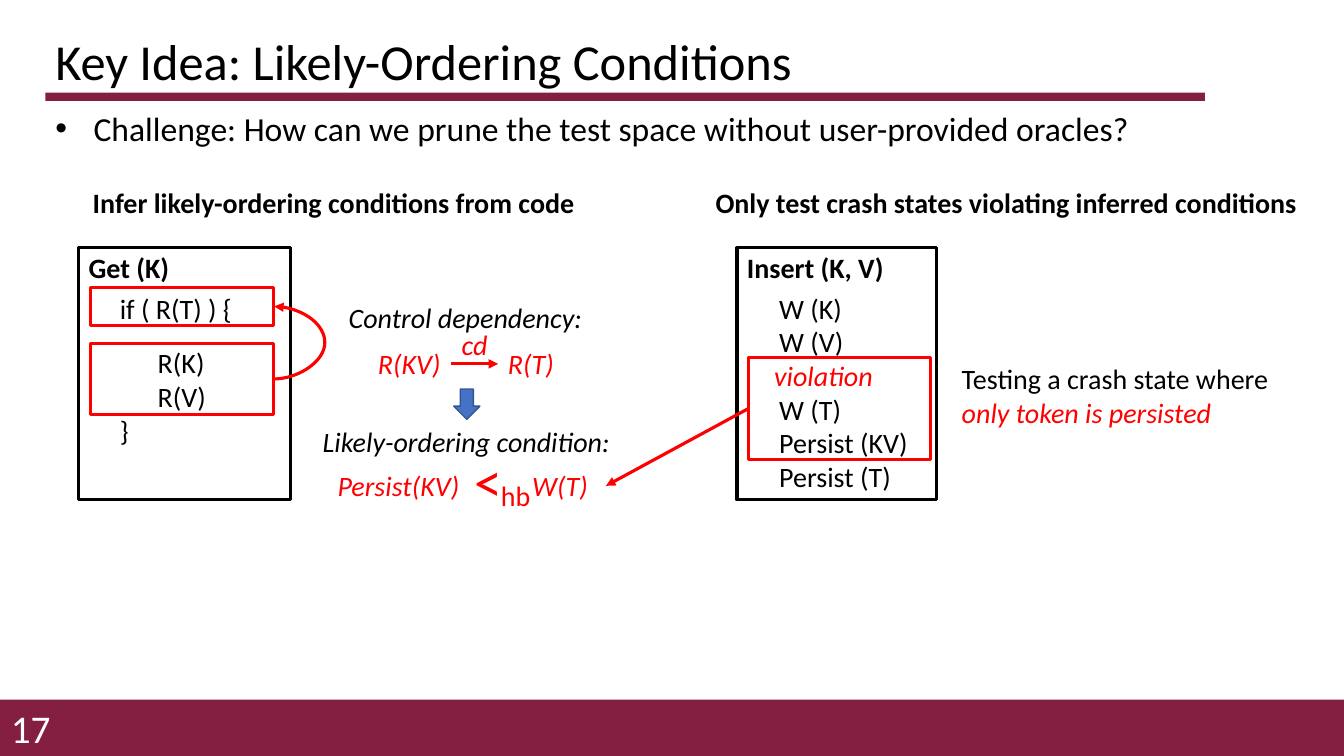
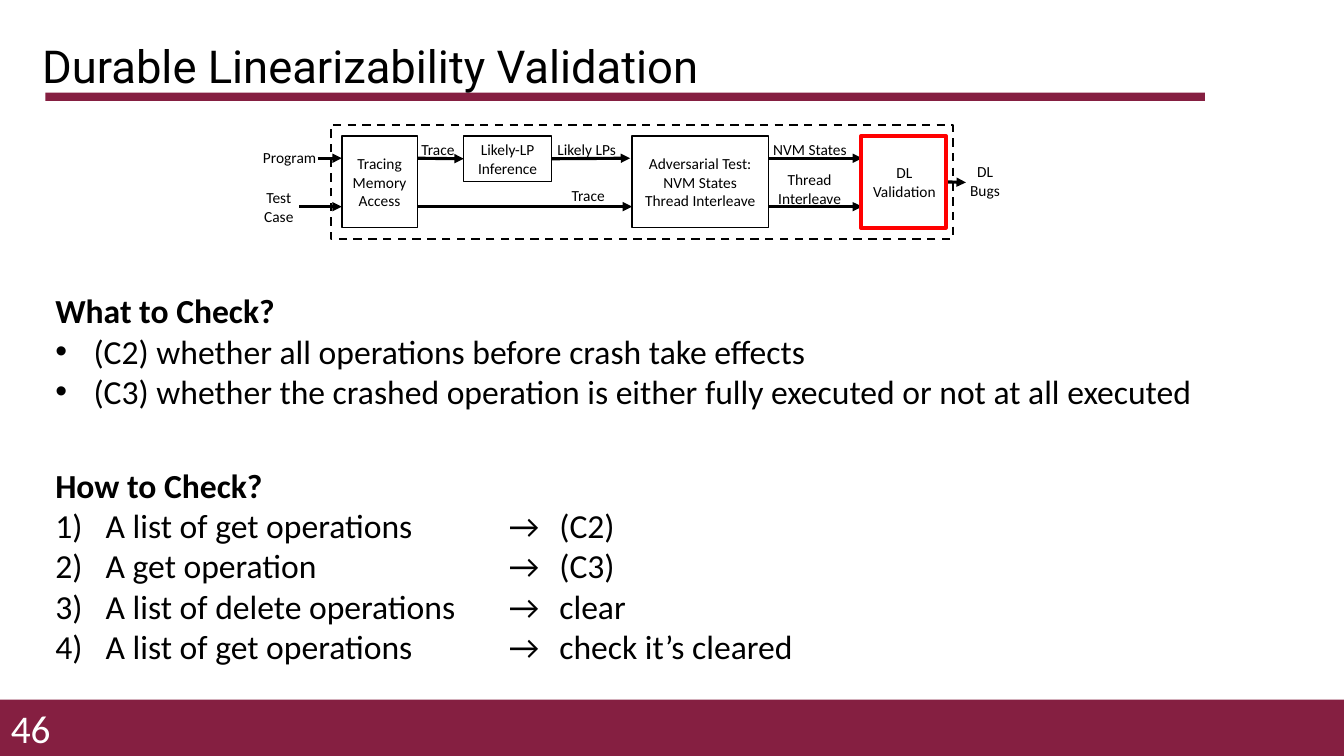
from dataclasses import dataclass
from typing import NamedTuple, Optional, Sequence, Union

from lxml import etree
from pptx import Presentation
from pptx import util as u
from pptx.dml.color import RGBColor
from pptx.enum import dml, shapes, text
from pptx.oxml import ns

PX = 9144  # EMU per px, 100 px to the inch
BLACK, WHITE, RED = "000000", "FFFFFF", "FF0000"
MAROON, BLUE, NAVY = "851F41", "4472C4", "325491"
BODY_FONT, TITLE_FONT = "Calibri", "Roboto"
LEFT, CENTER, RIGHT = text.PP_ALIGN.LEFT, text.PP_ALIGN.CENTER, text.PP_ALIGN.RIGHT
TOP, MIDDLE, BOTTOM = text.MSO_ANCHOR.TOP, text.MSO_ANCHOR.MIDDLE, text.MSO_ANCHOR.BOTTOM
RECT = shapes.MSO_SHAPE.RECTANGLE
LEFT_SIDE, RIGHT_SIDE = 1, 3


class Box(NamedTuple):
    left: int
    top: int
    width: int
    height: int


class Point(NamedTuple):
    x: int
    y: int


@dataclass(frozen=True)
class Para:
    text: str
    color: Optional[str] = None
    bold: Optional[bool] = None
    italic: Optional[bool] = None
    before: int = 0
    bullet: str = ""
    indent: int = 0


@dataclass(frozen=True)
class Label:
    box: Box
    lines: Sequence[Union[str, Para]]
    color: str = BLACK
    bold: bool = False
    italic: bool = False
    align: text.PP_ALIGN = LEFT
    wrap: bool = False


@dataclass(frozen=True)
class Arrow:
    start: Point
    end: Point


def emu(values: Sequence[int]) -> list:
    return [u.Emu(value * PX) for value in values]


def rgb(color: str) -> RGBColor:
    return RGBColor.from_string(color)


def add_bullet(paragraph, kind: str, indent: int) -> None:
    """Hang the paragraph from a character, or from a number if kind is '1)'."""
    props = paragraph._p.get_or_add_pPr()
    props.set("marL", str(indent * PX))
    props.set("indent", str(-indent * PX))
    props.set("defTabSz", str(50 * PX))
    if kind == "1)":
        etree.SubElement(props, ns.qn("a:buAutoNum"), type="arabicParenR")
    else:
        etree.SubElement(props, ns.qn("a:buFont"), typeface="Arial")
        etree.SubElement(props, ns.qn("a:buChar"), char=kind)


def write(frame, lines: Sequence[Union[str, Para]], *, size: float = 20, color: str = BLACK,
          bold: bool = False, italic: bool = False, font: str = BODY_FONT,
          align: text.PP_ALIGN = LEFT, anchor: text.MSO_ANCHOR = TOP,
          wrap: bool = True, spacing: Optional[float] = None) -> None:
    frame.word_wrap = wrap
    frame.vertical_anchor = anchor
    for index, line in enumerate(lines):
        para = Para(line) if isinstance(line, str) else line
        paragraph = frame.add_paragraph() if index else frame.paragraphs[0]
        if para.bullet:
            add_bullet(paragraph, para.bullet, para.indent)
        paragraph.alignment = align
        if spacing:
            paragraph.line_spacing = spacing
        if para.before:
            paragraph.space_before = u.Pt(para.before)
        run = paragraph.add_run()
        run.text = para.text
        run.font.name, run.font.size = font, u.Pt(size)
        run.font.bold = bold if para.bold is None else para.bold
        run.font.italic = italic if para.italic is None else para.italic
        run.font.color.rgb = rgb(para.color or color)


def add_text(slide, box: Box, lines: Sequence[Union[str, Para]], grow: bool = True, **look) -> None:
    frame = slide.shapes.add_textbox(*emu(box)).text_frame
    write(frame, lines, **look)
    if grow:
        frame.auto_size = text.MSO_AUTO_SIZE.SHAPE_TO_FIT_TEXT


def add_labels(slide, labels: Sequence[Label], size: float) -> None:
    for label in labels:
        add_text(slide, label.box, label.lines, size=size, color=label.color, bold=label.bold,
                 italic=label.italic, align=label.align, wrap=label.wrap)


def add_block(slide, box: Box, fill: Optional[str] = None, line: Optional[str] = None,
              weight: float = 2.25, preset=RECT, dashed: bool = False):
    block = slide.shapes.add_shape(preset, *emu(box))
    block.shadow.inherit = False
    if fill:
        block.fill.solid()
        block.fill.fore_color.rgb = rgb(fill)
    else:
        block.fill.background()
    if line:
        block.line.color.rgb = rgb(line)
        block.line.width = u.Pt(weight)
        if dashed:
            block.line.dash_style = dml.MSO_LINE.DASH
    else:
        block.line.fill.background()
    return block


def add_arrow(slide, arrow: Arrow, color: str, source=None, target=None,
              kind=shapes.MSO_CONNECTOR.STRAIGHT):
    """Draw an arrow, joined to the right or left side of the blocks given."""
    connector = slide.shapes.add_connector(kind, *emu((*arrow.start, *arrow.end)))
    connector.line.color.rgb = rgb(color)
    connector.line.width = u.Pt(2.25)
    etree.SubElement(connector.line._get_or_add_ln(), ns.qn("a:tailEnd"), type="triangle")
    etree.SubElement(connector._element.spPr, ns.qn("a:effectLst"))
    if source is not None:
        source_block, side = source
        connector.begin_connect(source_block, side)
    if target is not None:
        target_block, side = target
        connector.end_connect(target_block, side)
    return connector


def add_loop(slide, arrow: Arrow, bulge: int, color: str) -> None:
    """Draw a curved arrow that swings out to the right by bulge px."""
    loop = add_arrow(slide, arrow, color, kind=shapes.MSO_CONNECTOR.CURVE)
    geometry = loop._element.spPr.find(ns.qn("a:prstGeom"))
    adjustments = geometry.find(ns.qn("a:avLst"))
    if adjustments is None:
        adjustments = etree.SubElement(geometry, ns.qn("a:avLst"))
    ratio = bulge * 100000 // (arrow.end.x - arrow.start.x)
    etree.SubElement(adjustments, ns.qn("a:gd"), name="adj1", fmla=f"val {ratio}")


def start_slide(deck, title: str, number: str, box: Box, **title_look):
    slide = deck.slides.add_slide(deck.slide_layouts[6])
    add_block(slide, Box(0, 694, 1333, 56), fill=MAROON)
    add_block(slide, Box(45, 92, 1150, 8), fill=MAROON)
    add_text(slide, box, [title], grow=False, spacing=0.9, **title_look)
    add_text(slide, Box(-11, 702, 71, 40), [number], grow=False, size=28, color=WHITE,
             align=RIGHT, anchor=MIDDLE)
    return slide


def build_key_idea(deck) -> None:
    slide = start_slide(deck, "Key Idea: Likely-Ordering Conditions", "17",
                        Box(45, 40, 1209, 56), size=36, anchor=BOTTOM)
    challenge = "Challenge: How can we prune the test space without user-provided oracles?"
    add_text(slide, Box(45, 102, 1260, 50), [Para(challenge, bullet="•", indent=38)], size=24)

    for function_box in (Box(78, 246, 210, 250), Box(731, 246, 198, 250)):
        add_block(slide, function_box, line=BLACK)
    for access_box in (Box(90, 285, 181, 38), Box(90, 341, 181, 70)):
        add_block(slide, access_box, line=RED)
    violation = add_block(slide, Box(742, 355, 181, 101), line=RED)
    add_block(slide, Box(450, 386, 26, 30), BLUE, NAVY, 1, shapes.MSO_SHAPE.DOWN_ARROW)

    add_loop(slide, Arrow(Point(271, 376), Point(272, 304)), 52, RED)
    add_arrow(slide, Arrow(Point(742, 405), Point(601, 482)), RED, source=(violation, LEFT_SIDE))
    add_arrow(slide, Arrow(Point(447, 361), Point(494, 361)), RED)

    add_labels(slide, [
        Label(Box(58, 179, 546, 44), ["Infer likely-ordering conditions from code"],
              bold=True, align=CENTER, wrap=True),
        Label(Box(691, 179, 614, 44), ["Only test crash states violating inferred conditions"],
              bold=True, align=CENTER, wrap=True),
        Label(Box(78, 244, 101, 44), ["Get (K)"], bold=True),
        Label(Box(109, 284, 133, 166),
              ["if ( R(T) ) {", Para("      R(K)", before=15), "      R(V)", "}"]),
        Label(Box(731, 244, 157, 44), ["Insert (K, V)"], bold=True),
        Label(Box(763, 284, 156, 212),
              ["W (K)", "W (V)", Para("W (T)", before=24), "Persist (KV)", "Persist (T)"]),
        Label(Box(758, 351, 119, 44), ["violation"], RED, italic=True),
        Label(Box(336, 293, 253, 44), ["Control dependency:"], italic=True),
        Label(Box(365, 339, 83, 44), ["R(KV)"], RED, italic=True),
        Label(Box(448, 320, 46, 44), ["cd"], RED, italic=True),
        Label(Box(494, 339, 66, 44), ["R(T)"], RED, italic=True),
        Label(Box(293, 416, 339, 44), ["Likely-ordering condition:"],
              italic=True, align=CENTER, wrap=True),
        Label(Box(325, 460, 147, 44), ["Persist(KV)"], RED, italic=True, wrap=True),
        Label(Box(518, 460, 83, 44), ["W(T)"], RED, italic=True, wrap=True),
        Label(Box(487, 470, 50, 44), ["hb"], RED, wrap=True),
        Label(Box(944, 354, 328, 77),
              ["Testing a crash state where", Para("only token is persisted", RED, italic=True)]),
    ], size=20)
    add_text(slide, Box(461, 438, 45, 77), ["<"], size=40, color=RED, align=CENTER)


def build_validation(deck) -> None:
    slide = start_slide(deck, "Durable Linearizability Validation", "46",
                        Box(32, 40, 1150, 56), size=32.4, font=TITLE_FONT, anchor=MIDDLE)
    checks = ("(C2) whether all operations before crash take effects",
              "(C3) whether the crashed operation is either fully executed or not at all executed")
    steps = ("A list of get operations\t\t→\t(C2)",
             "A get operation\t\t\t\t→\t(C3)",
             "A list of delete operations\t\t→\tclear",
             "A list of get operations\t\t→\tcheck it’s cleared")
    for box, heading, items, bullet, indent in (
            (Box(45, 283, 1257, 131), "What to Check?", checks, "•", 38),
            (Box(45, 456, 1257, 212), "How to Check?", steps, "1)", 50)):
        add_text(slide, box, [Para(heading, bold=True),
                              *(Para(item, bullet=bullet, indent=indent) for item in items)],
                 size=24)

    add_block(slide, Box(328, 124, 617, 113), line=BLACK, weight=1.5, dashed=True)
    stages = []
    for box, lines in (
            (Box(339, 135, 75, 91), ["Tracing", "Memory", "Access"]),
            (Box(460, 135, 87, 45), ["Likely-LP Inference"]),
            (Box(627, 135, 135, 91), ["Adversarial Test:", "NVM States", "Thread Interleave"]),
            (Box(855, 135, 84, 91), ["DL", "Validation"])):
        stage = add_block(slide, box, fill=WHITE, line=BLACK, weight=1)
        write(stage.text_frame, lines, size=11, align=CENTER, anchor=MIDDLE)
        stages.append(stage)
    _, inference, _, validation = stages

    upper, middle, lower = 157, 181, 205
    for start, end, y in ((315, 339, upper), (297, 339, lower), (414, 627, lower),
                          (762, 855, upper), (762, 855, lower)):
        add_arrow(slide, Arrow(Point(start, y), Point(end, y)), BLACK)
    add_arrow(slide, Arrow(Point(414, upper), Point(460, upper)), BLACK,
              target=(inference, LEFT_SIDE))
    add_arrow(slide, Arrow(Point(547, upper), Point(625, upper)), BLACK,
              source=(inference, RIGHT_SIDE))
    add_arrow(slide, Arrow(Point(939, middle), Point(958, middle)), BLACK,
              source=(validation, RIGHT_SIDE))

    add_labels(slide, [
        Label(Box(251, 142, 74, 29), ["Program"]),
        Label(Box(252, 182, 49, 47), ["Test", "Case"], align=CENTER),
        Label(Box(408, 134, 55, 29), ["Trace"]),
        Label(Box(543, 134, 79, 29), ["Likely LPs"]),
        Label(Box(557, 180, 55, 29), ["Trace"]),
        Label(Box(757, 134, 94, 29), ["NVM States"]),
        Label(Box(761, 164, 84, 47), ["Thread", "Interleave"], align=CENTER),
        Label(Box(952, 156, 50, 47), ["DL", "Bugs"], align=CENTER),
    ], size=11)
    add_block(slide, Box(854, 135, 84, 91), line=RED, weight=3)


def main() -> None:
    deck = Presentation()
    deck.slide_width, deck.slide_height = emu((1333, 750))
    build_key_idea(deck)
    build_validation(deck)
    deck.save("out.pptx")


if __name__ == "__main__":
    main()
